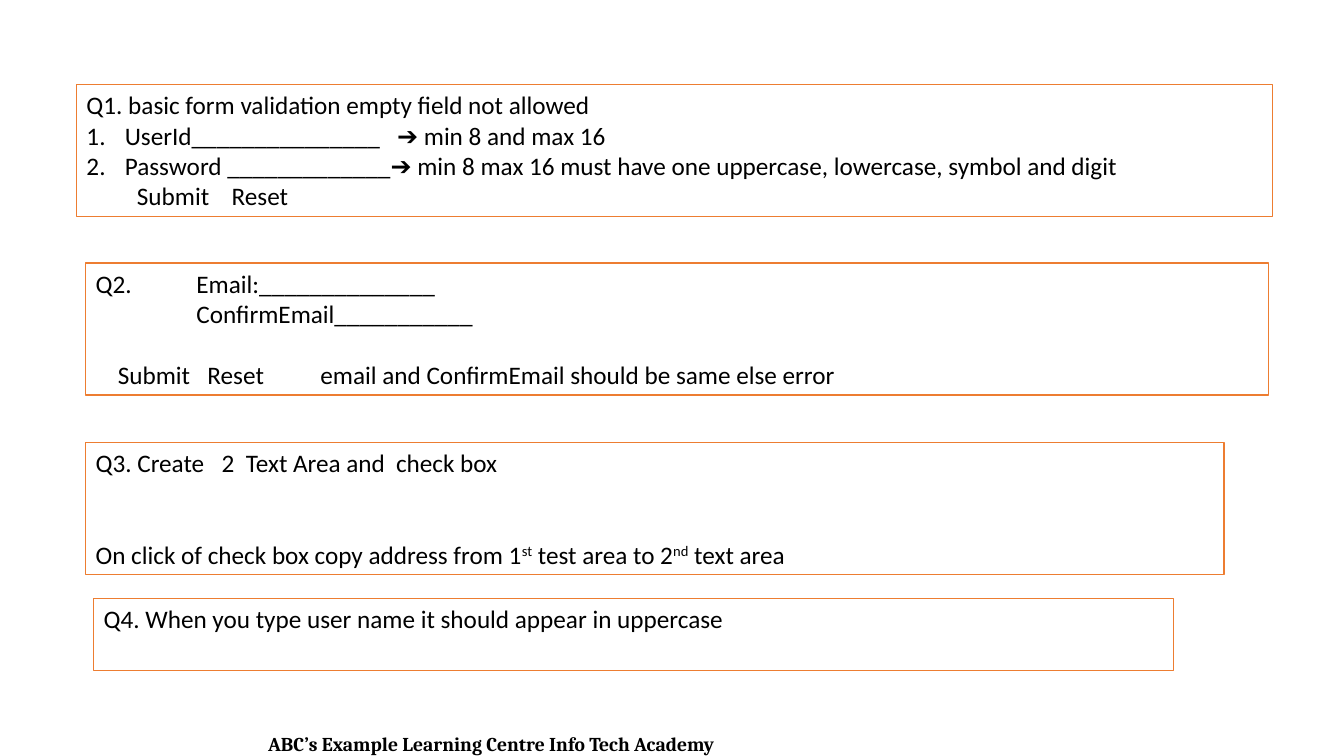
from lxml.etree import SubElement
from pptx import Presentation
from pptx.dml.color import RGBColor
from pptx.enum.shapes import MSO_SHAPE
from pptx.enum.text import MSO_ANCHOR, PP_ALIGN
from pptx.oxml.ns import qn
from pptx.util import Inches, Pt

COLORS = {"paper": "FFFFFF", "ink": "000000", "border": "ED7D31"}
LINE_HEIGHT = 22
NUMBER_INDENT = 0.38

QUESTIONS = [
    ((0.76, 0.84, 11.86, 1.31), [
        {"text": "Q1. basic form validation empty field not allowed"},
        {"text": "UserId_______________\t➔ min 8 and max 16",
         "numbered": True, "tabs": [3.08]},
        {"text": "Password _____________➔ min 8 max 16 must have one "
                 "uppercase, lowercase, symbol and digit", "numbered": True},
        {"text": "\tSubmit\tReset", "tabs": [0.5, 1.44]},
    ]),
    ((0.85, 2.61, 11.73, 1.31), [
        {"text": "Q2.\tEmail:______________", "tabs": [1]},
        {"text": "\tConfirmEmail___________", "tabs": [1]},
        {"text": "\tSubmit\tReset\temail and ConfirmEmail should be same else error",
         "tabs": [0.22, 1.11, 2.23], "skipped_lines": 1},
    ]),
    ((0.85, 4.39, 11.29, 1.31), [
        {"text": "Q3. Create\t2\tText Area and\tcheck box",
         "tabs": [1.25, 1.49, 2.98]},
        {"text": "On click of check box copy address from 1^st^ test area to 2^nd^ text area",
         "skipped_lines": 2},
    ]),
    ((0.93, 5.94, 10.71, 0.71), [
        {"text": "Q4. When you type user name it should appear in uppercase"},
    ]),
]


def color(name):
    return RGBColor.from_string(COLORS[name])


def style_font(font, name, size, bold=False):
    font.name = name
    font.size = Pt(size)
    font.bold = bold
    font.color.rgb = color("ink")


def write_paragraph(paragraph, text, tabs=(), numbered=False, skipped_lines=0):
    paragraph.alignment = PP_ALIGN.LEFT
    if skipped_lines:
        paragraph.space_before = Pt(skipped_lines * LINE_HEIGHT)
    properties = paragraph._p.get_or_add_pPr()
    if numbered:
        properties.set("marL", str(Inches(NUMBER_INDENT)))
        properties.set("indent", str(-Inches(NUMBER_INDENT)))
        SubElement(properties, qn("a:buAutoNum"), type="arabicPeriod")
    if tabs:
        tab_list = SubElement(properties, qn("a:tabLst"))
        for position in tabs:
            SubElement(tab_list, qn("a:tab"), pos=str(Inches(position)), algn="l")
    for index, part in enumerate(text.split("^")):
        run = paragraph.add_run()
        run.text = part
        style_font(run.font, "Calibri", 18)
        if index % 2:
            run._r.get_or_add_rPr().set("baseline", "30000")


def add_question(slide, box, lines):
    shape = slide.shapes.add_shape(MSO_SHAPE.RECTANGLE, *map(Inches, box))
    shape.shadow.inherit = False
    shape.fill.solid()
    shape.fill.fore_color.rgb = color("paper")
    shape.line.color.rgb = color("border")
    shape.line.width = Pt(1)
    text_frame = shape.text_frame
    text_frame.word_wrap = True
    text_frame.vertical_anchor = MSO_ANCHOR.TOP
    for index, line in enumerate(lines):
        paragraph = text_frame.add_paragraph() if index else text_frame.paragraphs[0]
        write_paragraph(paragraph, **line)


def add_footer(slide, box):
    text_frame = slide.shapes.add_textbox(*map(Inches, box)).text_frame
    text_frame.word_wrap = True
    text_frame.text = "ABC’s Example Learning Centre Info Tech Academy"
    paragraph = text_frame.paragraphs[0]
    paragraph.alignment = PP_ALIGN.CENTER
    style_font(paragraph.runs[0].font, "Cambria", 14, bold=True)


def main():
    presentation = Presentation()
    presentation.slide_width = Inches(13.33)
    presentation.slide_height = Inches(7.5)
    slide = presentation.slides.add_slide(presentation.slide_layouts[6])
    add_footer(slide, (0.22, 7.21, 9.31, 0.29))
    for box, lines in QUESTIONS:
        add_question(slide, box, lines)
    presentation.save("out.pptx")


if __name__ == "__main__":
    main()
